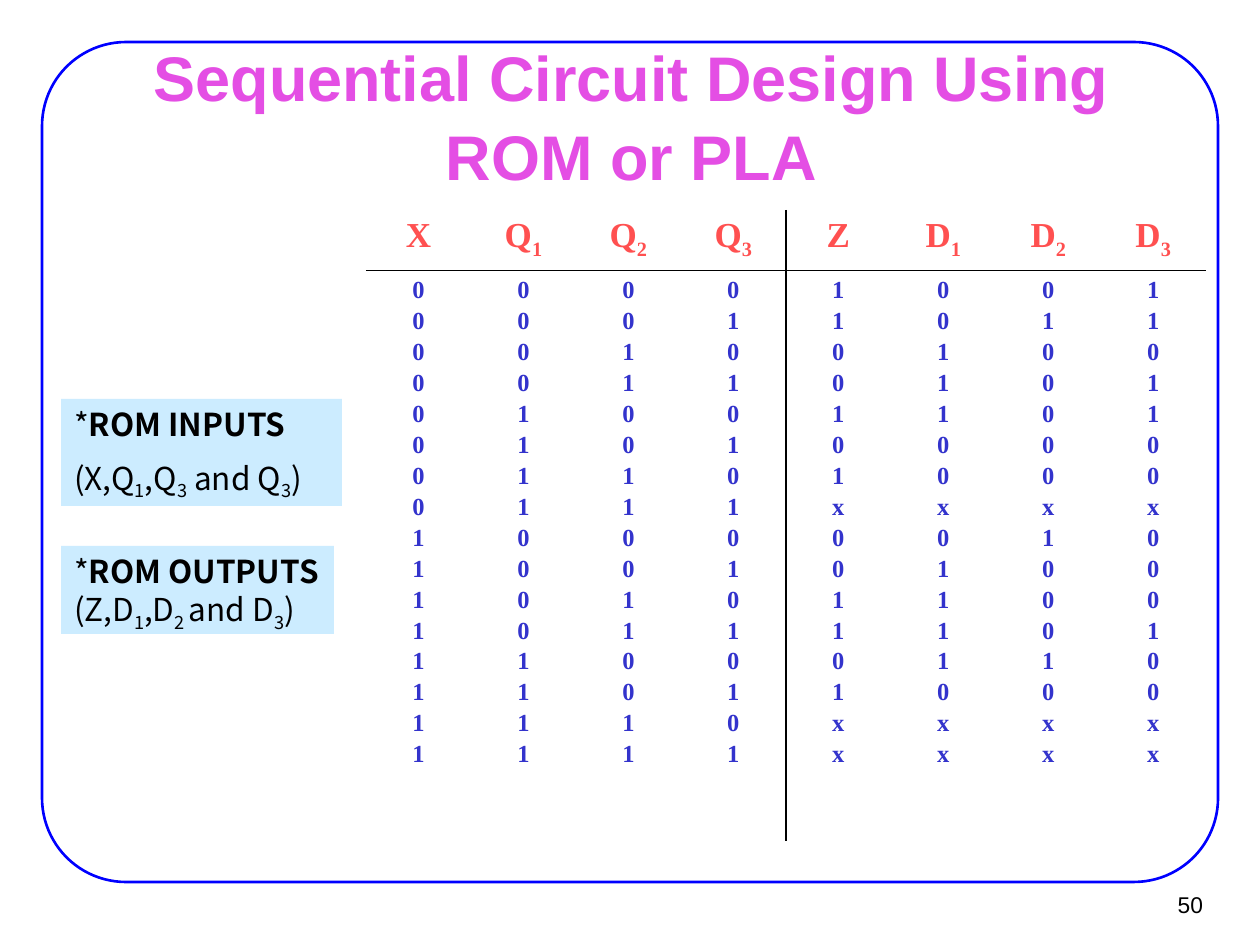
from lxml import etree
from pptx import Presentation
from pptx.dml.color import RGBColor
from pptx.enum.shapes import MSO_SHAPE
from pptx.enum.text import MSO_ANCHOR, PP_ALIGN
from pptx.oxml.ns import qn
from pptx.util import Emu, Pt

LEFT, CENTER, RIGHT = PP_ALIGN.LEFT, PP_ALIGN.CENTER, PP_ALIGN.RIGHT
TOP, MIDDLE = MSO_ANCHOR.TOP, MSO_ANCHOR.MIDDLE
RECTANGLE, ROUNDED = MSO_SHAPE.RECTANGLE, MSO_SHAPE.ROUNDED_RECTANGLE

PX_PER_INCH = 126
COLORS = {"frame": "0000FF", "title": "E44EE4", "head": "FF5050",
          "body": "3333CC", "text": "000000", "note": "CCECFF", "rule": "000000"}
FORMATS = {
    "title": {"name": "Arial", "size": Pt(36), "bold": True},
    "number": {"name": "Arial", "size": Pt(13), "bold": False},
    "head": {"name": "Times New Roman", "size": Pt(20), "bold": True},
    "body": {"name": "Times New Roman", "size": Pt(14), "bold": True},
    "note": {"name": "Noto Sans CJK KR", "size": Pt(18), "bold": False},
    "strong": {"name": "Noto Sans CJK KR", "size": Pt(18), "bold": True},
}
FORMAT_COLORS = {"title": "title", "head": "head", "body": "body"}

INPUTS = ["X", "Q1", "Q2", "Q3"]
OUTPUTS = {"Z": "1100101x001101xx", "D1": "0011100x011110xx",
           "D2": "0100000x100010xx", "D3": "1101100x000100xx"}


def px(length):
    return Emu(round(length * 914400 / PX_PER_INCH))


def color(name):
    return RGBColor.from_string(COLORS[name])


def add_span(para, text, style, subscript=False):
    span = para.add_run()
    span.text = text
    for key, value in FORMATS[style].items():
        setattr(span.font, key, value)
    span.font.color.rgb = color(FORMAT_COLORS.get(style, "text"))
    if subscript:
        span.font._element.set("baseline", "-25000")


def write_paras(frame, paras, align, space=0):
    """Each paragraph is a list of add_span arguments."""
    for index, spans in enumerate(paras):
        para = frame.add_paragraph() if index else frame.paragraphs[0]
        para.alignment = align
        para.space_before = Pt(space)
        for span in spans:
            add_span(para, *span)


def set_frame(frame, anchor, wrap, side, edge):
    settings = {"word_wrap": wrap, "vertical_anchor": anchor,
                "margin_left": px(side), "margin_right": px(side),
                "margin_top": px(edge), "margin_bottom": px(edge)}
    for key, value in settings.items():
        setattr(frame, key, value)


def add_frame(page, box):
    outline = page.shapes.add_shape(ROUNDED, *map(px, box))
    outline.shadow.inherit = False
    outline.adjustments[0] = 0.1
    outline.fill.background()
    outline.line.color.rgb = color("frame")
    outline.line.width = Pt(1.5)


def add_text(page, box, text, style, align, wrap, side, edge):
    frame = page.shapes.add_textbox(*map(px, box)).text_frame
    set_frame(frame, MIDDLE, wrap, side, edge)
    write_paras(frame, [[(text, style)]], align)
    return frame


def add_note(page, box, paras):
    note = page.shapes.add_shape(RECTANGLE, *map(px, box))
    note.shadow.inherit = False
    note.fill.solid()
    note.fill.fore_color.rgb = color("note")
    note.line.fill.background()
    set_frame(note.text_frame, TOP, True, 13, 6)
    write_paras(note.text_frame, paras, LEFT, 9)


def set_borders(cell, sides):
    """Draw the named sides; must run before the cell fill is set."""
    props = cell._tc.get_or_add_tcPr()
    for side in ("lnL", "lnR", "lnT", "lnB"):
        drawn = side in sides
        line = etree.SubElement(props, qn(f"a:{side}"), w=str(Pt(1)))
        fill = etree.SubElement(line, qn("a:solidFill" if drawn else "a:noFill"))
        if drawn:
            etree.SubElement(fill, qn("a:srgbClr"), val=COLORS["rule"])


def add_truth_table(page, box, row_heights):
    names = INPUTS + list(OUTPUTS)
    counts = [format(number, "04b") for number in range(16)]
    columns = list(zip(*counts)) + list(OUTPUTS.values())

    table = page.shapes.add_table(2, len(names), *map(px, box)).table
    table.first_row = table.horz_banding = False
    for row, height in zip(table.rows, row_heights):
        row.height = px(height)

    for index, (name, values) in enumerate(zip(names, columns)):
        table.columns[index].width = px(box[2] / len(names))
        heading = [(name[0], "head")]
        if name[1:]:
            heading.append((name[1:], "head", True))
        contents = [([heading], 3.1, "lnB"),
                    ([[(value, "body")] for value in values], 2.2, "lnT")]
        # The upright rule parts inputs from outputs
        upright = {len(INPUTS) - 1: "lnR", len(INPUTS): "lnL"}.get(index)
        for row, (paras, space, level) in enumerate(contents):
            cell = table.cell(row, index)
            set_borders(cell, {level, upright})
            cell.fill.background()
            write_paras(cell.text_frame, paras, CENTER, space)


def build_slide(deck):
    page = deck.slides.add_slide(deck.slide_layouts[6])

    # Frame, title and page number
    add_frame(page, (42, 42, 1176, 840))
    title = add_text(page, (96, 55, 1071, 118),
                     "Sequential Circuit Design Using ROM or PLA",
                     "title", CENTER, True, 14, 8)
    title.paragraphs[0].line_spacing = 1.05
    add_text(page, (1137, 881, 77, 47), "50", "number", RIGHT, False, 11, 5)

    # Truth table
    add_truth_table(page, (366, 210, 840, 626), (54, 571))

    # Notes on the ROM lines
    add_note(page, (61, 546, 273, 88), [
        [("*", "note"), ("ROM OUTPUTS", "strong"), (" (Z,D", "note"),
         ("1", "note", True), (",D", "note"), ("2 ", "note", True),
         ("and D", "note"), ("3", "note", True), (")", "note")]])
    add_note(page, (61, 399, 281, 107), [
        [("*", "note"), ("ROM INPUTS", "strong")],
        [("(X,Q", "note"), ("1", "note", True), (",Q", "note"),
         ("3", "note", True), (" and Q", "note"), ("3", "note", True),
         (")", "note")]])


def main():
    deck = Presentation()
    deck.slide_width, deck.slide_height = px(1260), px(945)
    build_slide(deck)
    deck.save("out.pptx")


if __name__ == "__main__":
    main()
